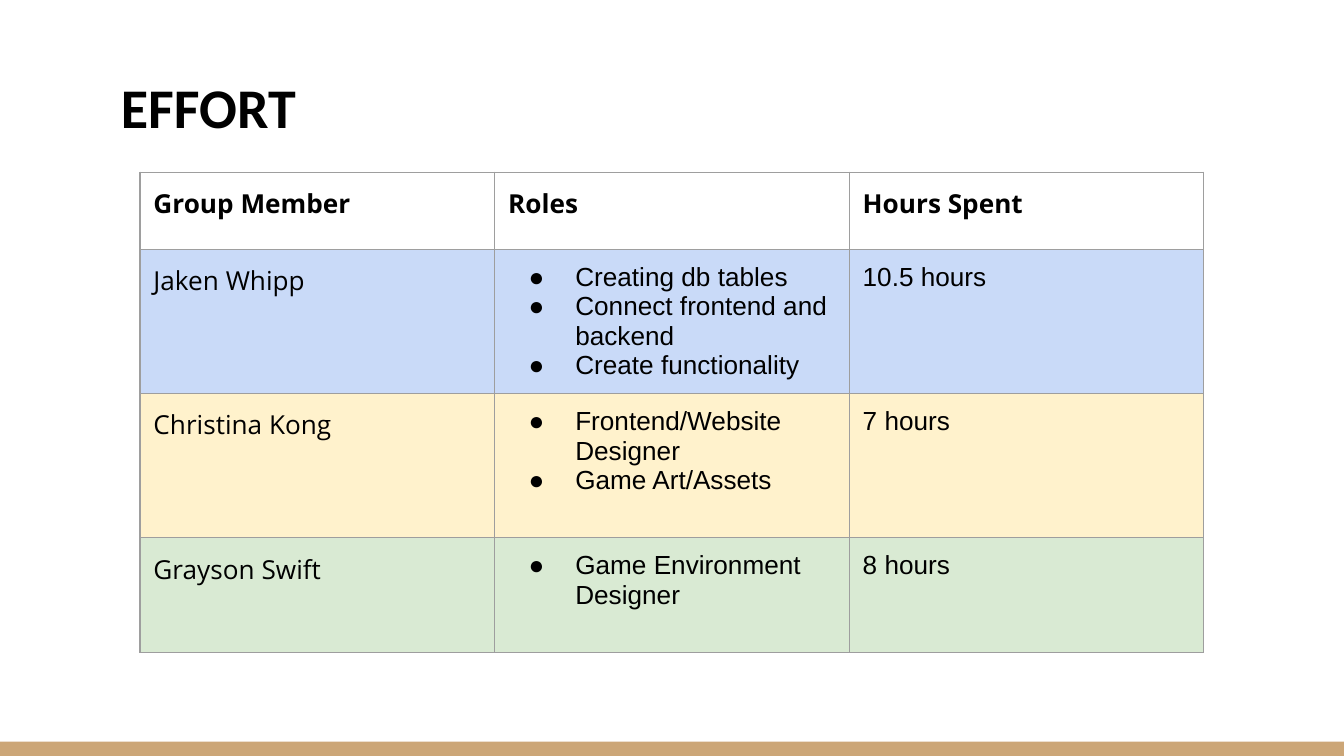
"""Build the effort slide: a title, a table of members and a footer band."""
from lxml.etree import SubElement
from pptx import Presentation
from pptx.dml.color import RGBColor
from pptx.enum.shapes import MSO_SHAPE
from pptx.enum.text import MSO_ANCHOR, MSO_AUTO_SIZE, PP_ALIGN
from pptx.oxml import parse_xml
from pptx.oxml.ns import nsdecls, qn
from pptx.util import Pt

BLACK = RGBColor(0x00, 0x00, 0x00)
TAN = RGBColor(0xCC, 0xA6, 0x77)
GREY = RGBColor(0x9E, 0x9E, 0x9E)
BLUE = RGBColor(0xC9, 0xDA, 0xF8)
YELLOW = RGBColor(0xFF, 0xF2, 0xCC)
GREEN = RGBColor(0xD9, 0xEA, 0xD3)

INSET = Pt(7.2)
COL_WIDTH = Pt(190)
HEADERS = ["Group Member", "Roles", "Hours Spent"]
HEADER_HEIGHT = Pt(41.25)
MEMBERS = [
    ("Jaken Whipp",
     ["Creating db tables", "Connect frontend and backend", "Create functionality"],
     "10.5 hours", BLUE, Pt(77.25)),
    ("Christina Kong", ["Frontend/Website Designer", "Game Art/Assets"],
     "7 hours", YELLOW, Pt(77.25)),
    ("Grayson Swift", ["Game Environment Designer"],
     "8 hours", GREEN, Pt(61.5)),
]


def add_text(p, text, font="Arial", size=14, bold=False):
    """Add a formatted run to a paragraph."""
    r = p.add_run()
    r.text = text
    r.font.name = font
    r.font.size = Pt(size)
    r.font.bold = bold
    r.font.color.rgb = BLACK
    p.alignment = PP_ALIGN.LEFT


def set_insets(obj):
    """Give a cell or text frame equal margins."""
    obj.margin_left = obj.margin_right = INSET
    obj.margin_top = obj.margin_bottom = INSET


def set_bullet(p):
    """Make a paragraph a hanging bullet."""
    pPr = p._p.get_or_add_pPr()
    pPr.set("marL", str(Pt(36)))
    pPr.set("indent", str(-Pt(25)))
    clr = SubElement(pPr, qn("a:buClr"))
    SubElement(clr, qn("a:srgbClr"), val=str(BLACK))
    SubElement(pPr, qn("a:buFont"), typeface="Arial")
    SubElement(pPr, qn("a:buChar"), char="●")


def set_borders(cell):
    """Draw a thin grey line on each side of a cell."""
    tcPr = cell._tc.get_or_add_tcPr()
    for i, side in enumerate("LRTB"):
        tcPr.insert(i, parse_xml(
            f'<a:ln{side} {nsdecls("a")} w="{Pt(0.75)}"><a:solidFill>'
            f'<a:srgbClr val="{GREY}"/></a:solidFill></a:ln{side}>'))


def fill_cell(cell, lines, color=None, bullets=False, **fmt):
    """Write lines into a cell and style it."""
    set_insets(cell)
    cell.vertical_anchor = MSO_ANCHOR.TOP
    if color is None:
        cell.fill.background()
    else:
        cell.fill.solid()
        cell.fill.fore_color.rgb = color
    set_borders(cell)
    tf = cell.text_frame
    for i, line in enumerate(lines):
        p = tf.add_paragraph() if i else tf.paragraphs[0]
        add_text(p, line, **fmt)
        if bullets:
            set_bullet(p)


def add_band(s, prs):
    """Add the tan band along the bottom edge."""
    height = Pt(7.7)
    sp = s.shapes.add_shape(MSO_SHAPE.RECTANGLE, 0, prs.slide_height - height,
                            prs.slide_width, height)
    sp.shadow.inherit = False
    sp.fill.solid()
    sp.fill.fore_color.rgb = TAN
    sp.line.fill.background()


def add_title(s, text):
    """Place and fill the title placeholder."""
    sp = s.shapes.title
    sp.left, sp.top, sp.width, sp.height = Pt(57.6), Pt(39.6), Pt(605.5), Pt(42.5)
    tf = sp.text_frame
    tf.word_wrap = True
    tf.auto_size = MSO_AUTO_SIZE.NONE
    tf.vertical_anchor = MSO_ANCHOR.BOTTOM
    set_insets(tf)
    add_text(tf.paragraphs[0], text, font="Calibri", size=30, bold=True)


def add_effort_table(s):
    """Add the table of members, roles and hours."""
    heights = [HEADER_HEIGHT] + [member[-1] for member in MEMBERS]
    table = s.shapes.add_table(len(heights), len(HEADERS), Pt(75), Pt(92.25),
                               COL_WIDTH * len(HEADERS), sum(heights)).table
    table.first_row = table.horz_banding = False
    for col in table.columns:
        col.width = COL_WIDTH
    for row, height in zip(table.rows, heights):
        row.height = height
    for c, header in enumerate(HEADERS):
        fill_cell(table.cell(0, c), [header], font="Open Sans", bold=True)
    for r, (name, roles, hours, color, _) in enumerate(MEMBERS, 1):
        fill_cell(table.cell(r, 0), [name], color, font="Open Sans")
        fill_cell(table.cell(r, 1), roles, color, bullets=True)
        fill_cell(table.cell(r, 2), [hours], color)


def main():
    """Build and save the slide."""
    prs = Presentation()
    prs.slide_width, prs.slide_height = Pt(720), Pt(405)
    s = prs.slides.add_slide(prs.slide_layouts[5])
    add_band(s, prs)
    add_title(s, "EFFORT")
    add_effort_table(s)
    prs.save("out.pptx")


if __name__ == "__main__":
    main()
